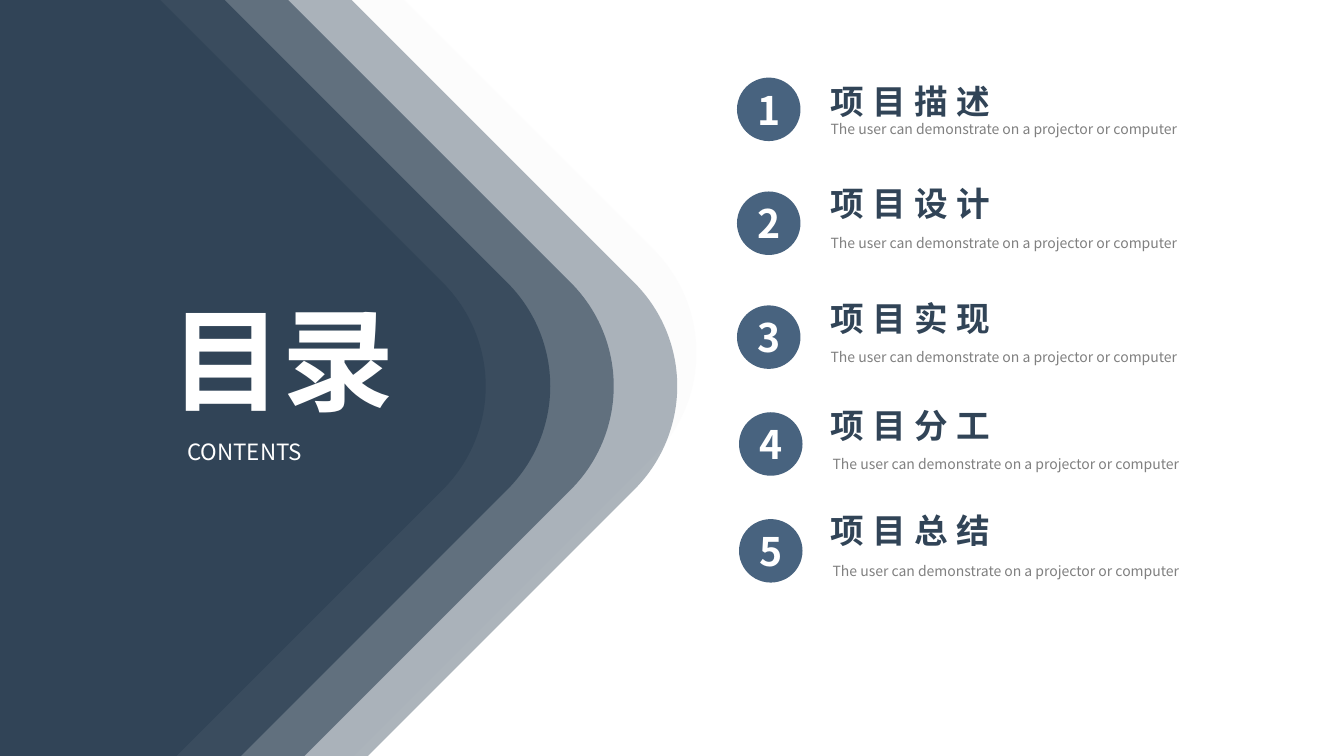
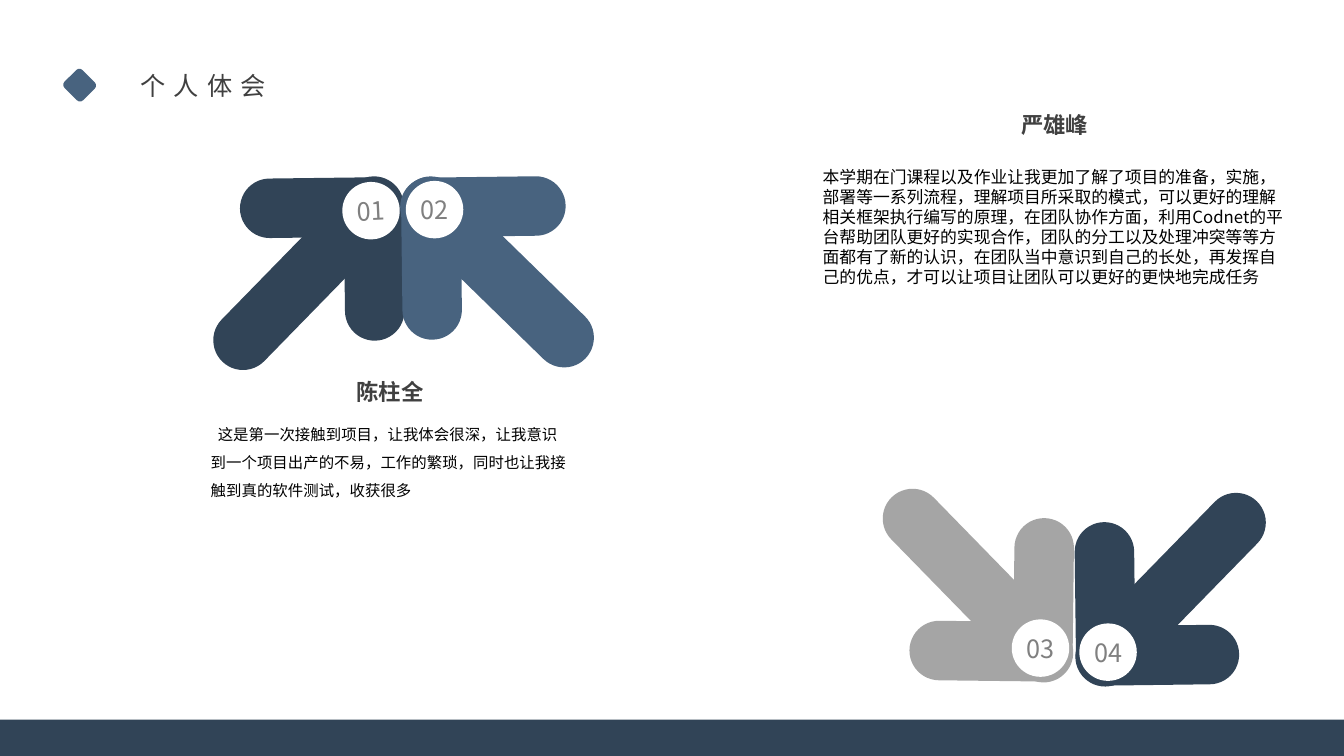
from lxml.etree import SubElement
from pptx import Presentation
from pptx.dml.color import RGBColor
from pptx.enum.shapes import MSO_SHAPE
from pptx.enum.text import MSO_ANCHOR, MSO_AUTO_SIZE, PP_ALIGN
from pptx.oxml.ns import qn
from pptx.util import Inches, Pt

NAVY = RGBColor(0x31, 0x44, 0x57)
BLUE = RGBColor(0x48, 0x63, 0x7F)
GRAY = RGBColor(0xA5, 0xA5, 0xA5)
PALE = RGBColor(0xF2, 0xF2, 0xF2)
WHITE = RGBColor(0xFF, 0xFF, 0xFF)
BLACK = RGBColor(0, 0, 0)
DARK_TEXT = RGBColor(0x40, 0x40, 0x40)
SOFT_TEXT = RGBColor(0x80, 0x80, 0x80)
FONT = "Noto Sans CJK SC"
TITLE_ONLY, COMPARISON = 5, 4


class Deck:
    """Holds the shared style and the current slide."""

    def __init__(self):
        self.prs = Presentation()
        self.prs.slide_width = Inches(13.33)
        self.prs.slide_height = Inches(7.5)
        self.s = None

    def new_slide(self, layout):
        self.s = self.prs.slides.add_slide(self.prs.slide_layouts[layout])

    def set_text(self, sp, text, size, color, bold=False, spacing=0,
                 align=PP_ALIGN.LEFT, anchor=MSO_ANCHOR.TOP, wrap=True):
        tf = sp.text_frame
        tf.text = text
        tf.word_wrap = wrap
        tf.auto_size = MSO_AUTO_SIZE.NONE
        tf.vertical_anchor = anchor
        p = tf.paragraphs[0]
        p.alignment = align
        r = p.runs[0]
        r.font.size, r.font.bold, r.font.name = Pt(size), bold, FONT
        r.font.color.rgb = color
        rPr = r._r.get_or_add_rPr()
        SubElement(rPr, qn("a:ea")).set("typeface", FONT)
        if spacing:
            rPr.set("spc", str(spacing * 100))
        return p

    def text(self, x, y, w, h, *args, **style):
        sp = self.s.shapes.add_textbox(Inches(x), Inches(y), Inches(w), Inches(h))
        return self.set_text(sp, *args, **style)

    def placeholder(self, idx, x, y, w, h, *args, indent=0, **style):
        """Fill a layout placeholder and bring it to the front."""
        sp = next(ph for ph in self.s.placeholders if ph.placeholder_format.idx == idx)
        sp.left, sp.top, sp.width, sp.height = map(Inches, (x, y, w, h))
        self.s.shapes._spTree.append(sp._element)
        p = self.set_text(sp, *args, **style)
        p.space_before = Pt(0)
        pPr = p._p.get_or_add_pPr()
        pPr.set("marL", "0")
        pPr.set("indent", str(Inches(indent)))
        SubElement(pPr, qn("a:buNone"))
        return p

    def shape(self, kind, x, y, w, h, color, rotation=0, opacity=100):
        sp = self.s.shapes.add_shape(kind, Inches(x), Inches(y), Inches(w), Inches(h))
        sp.shadow.inherit = False
        sp.fill.solid()
        sp.fill.fore_color.rgb = color
        sp.line.fill.background()
        sp.rotation = rotation
        if opacity < 100:
            clr = sp._element.spPr.find(qn("a:solidFill"))[0]
            SubElement(clr, qn("a:alpha")).set("val", str(opacity * 1000))
        return sp

    def badge(self, x, y, size, fill, label, pt, color, bold=False, rotation=0, inset=0.1):
        sp = self.shape(MSO_SHAPE.OVAL, x, y, size, size, fill, rotation)
        tf = sp.text_frame
        tf.margin_left = tf.margin_right = Inches(inset)
        tf.margin_top = tf.margin_bottom = Inches(inset / 2)
        self.set_text(sp, label, pt, color, bold=bold, align=PP_ALIGN.CENTER,
                      anchor=MSO_ANCHOR.MIDDLE)

    def bar(self, cx, cy, length, color, rotation):
        thick = 0.59
        sp = self.shape(MSO_SHAPE.ROUNDED_RECTANGLE, cx - length / 2, cy - thick / 2,
                        length, thick, color, rotation % 360)
        sp.adjustments[0] = 0.5

    def arrow(self, label, hub_x, hub_y, sx, sy, color, tilt, label_rotation=0):
        """Three rounded bars fanning out from a hub towards (sx, sy)."""
        self.bar(hub_x, hub_y + sy * 0.51, 1.62, color, 90 + tilt)
        self.bar(hub_x + sx * 0.52, hub_y, 1.62, color, tilt)
        self.bar(hub_x + sx * 0.65, hub_y + sy * 0.65, 2.45, color, sx * sy * 45 + tilt)
        size = 0.57
        self.badge(hub_x + sx * 0.03 - size / 2, hub_y + sy * 0.03 - size / 2, size,
                   WHITE, label, 18, SOFT_TEXT, rotation=label_rotation, inset=0)

    def content_frame(self, title):
        """Diamond, title and bottom band of a content slide."""
        self.shape(MSO_SHAPE.ROUNDED_RECTANGLE, 0.66, 0.72, 0.26, 0.25, BLUE, 45)
        self.placeholder(0, 1.29, 0.65, 1.53, 0.4, title, 18, DARK_TEXT,
                         spacing=6, wrap=False)
        self.shape(MSO_SHAPE.RECTANGLE, 0, 7.14, 13.33, 0.36, NAVY)


def contents_slide(deck):
    deck.new_slide(TITLE_ONLY)

    # Layered chevrons
    layers = [(-3.19, -0.93, PALE, 20), (-3.38, -0.6, NAVY, 40), (-4.01, -0.6, NAVY, 60),
              (-4.64, -0.6, NAVY, 80), (-5.28, -0.6, NAVY, 100)]
    for x, y, color, opacity in layers:
        deck.shape(MSO_SHAPE.ROUNDED_RECTANGLE, x, y, 8.93, 8.7, color, 45, opacity)

    # Title
    deck.placeholder(0, 1.5, 2.83, 2.6, 1.45, "目录", 80, WHITE, bold=True,
                     align=PP_ALIGN.CENTER)
    deck.text(1.76, 4.3, 2.08, 0.37, "CONTENTS", 16, WHITE)

    # Numbered entries: badge left, badge top, heading top
    entries = [("项目描述", 7.31, 0.77, 0.75), ("项目设计", 7.31, 1.9, 1.77),
               ("项目实现", 7.31, 3.03, 2.91), ("项目分工", 7.33, 4.09, 3.97),
               ("项目总结", 7.33, 5.15, 5.01)]
    for number, (heading, x, y, heading_y) in enumerate(entries, 1):
        deck.badge(x, y, 0.63, BLUE, str(number), 28, WHITE, bold=True)
        deck.text(x + 0.83, y + 0.38, 4.12, 0.27,
                  "The user can demonstrate on a projector or computer", 10, SOFT_TEXT)
        deck.text(8.14, heading_y, 1.87, 0.5, heading, 24, NAVY, bold=True,
                  spacing=6, wrap=False)


def reflections_slide(deck):
    deck.new_slide(COMPARISON)
    deck.content_frame("个人体会")

    # Arrow pairs
    deck.arrow("04", 10.96, 6.5, 1, -1, NAVY, -0.7)
    deck.arrow("03", 10.35, 6.46, -1, -1, GRAY, 0.7)
    deck.arrow("01", 3.71, 2.06, -1, 1, NAVY, -0.7, label_rotation=357.3)
    deck.arrow("02", 4.28, 2.05, 1, 1, BLUE, -0.7)

    # Left reflection
    deck.placeholder(1, 3.11, 3.7, 1.19, 0.37, "陈柱全", 16, DARK_TEXT, bold=True,
                     align=PP_ALIGN.RIGHT)
    p = deck.placeholder(
        2, 1.99, 4.07, 3.75, 0.91,
        "这是第一次接触到项目，让我体会很深，让我意识到一个项目出产的不易，"
        "工作的繁琐，同时也让我接触到真的软件测试，收获很多",
        11, BLACK, indent=0.07)
    p.line_spacing = Pt(20)

    # Right reflection
    deck.placeholder(3, 10.03, 1.05, 1.19, 0.37, "严雄峰", 16, DARK_TEXT, bold=True)
    deck.placeholder(
        4, 8.06, 1.6, 4.78, 1.31,
        "本学期在门课程以及作业让我更加了解了项目的准备，实施，部署等一系列流程，"
        "理解项目所采取的模式，可以更好的理解相关框架执行编写的原理，在团队协作方面，"
        "利用Codnet的平台帮助团队更好的实现合作，团队的分工以及处理冲突等等方面都有了"
        "新的认识，在团队当中意识到自己的长处，再发挥自己的优点，"
        "才可以让项目让团队可以更好的更快地完成任务",
        12, BLACK)


def main():
    deck = Deck()
    contents_slide(deck)
    reflections_slide(deck)
    deck.prs.save("out.pptx")


if __name__ == "__main__":
    main()
